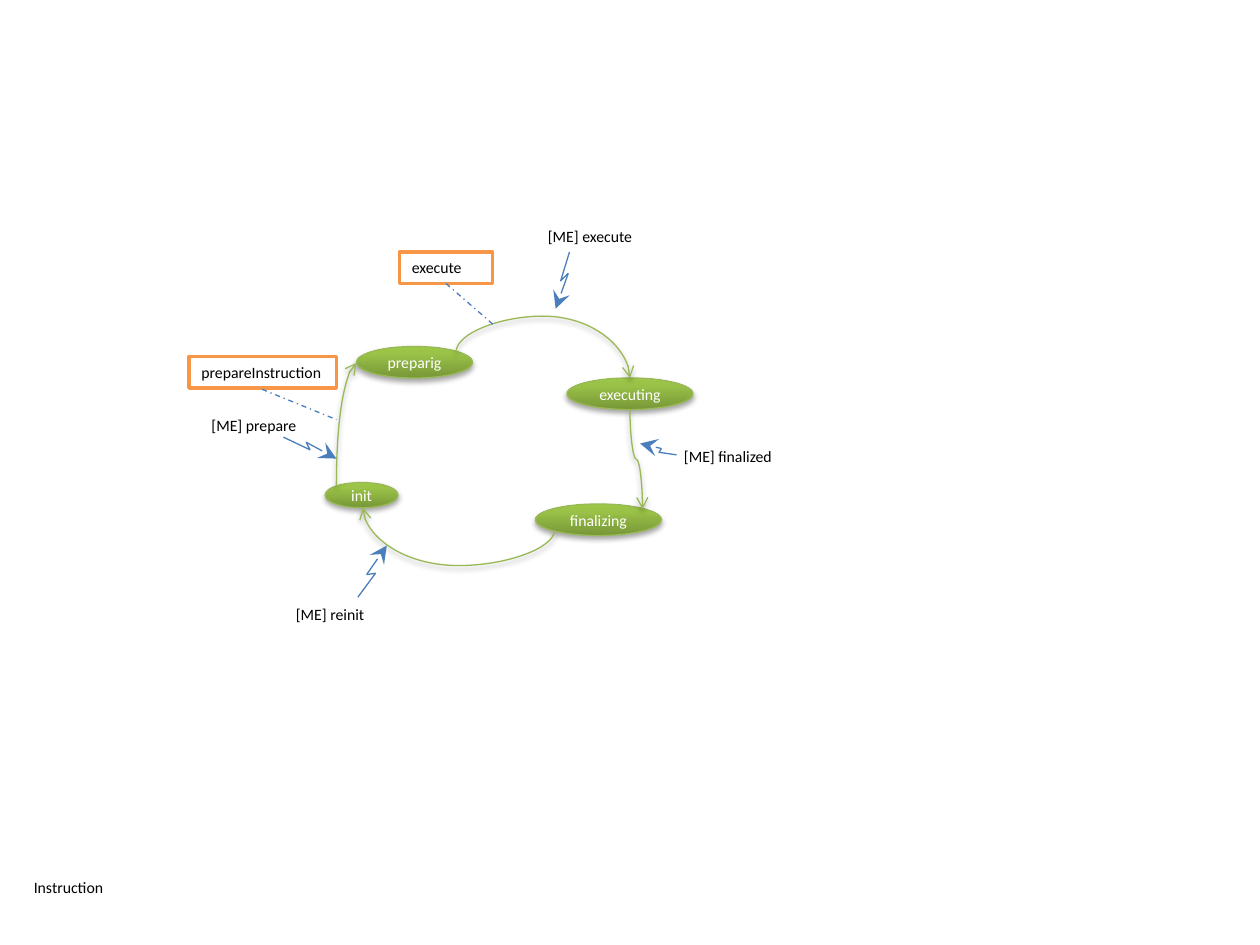
from lxml.etree import SubElement
from pptx import Presentation
from pptx.dml.color import RGBColor
from pptx.enum.dml import MSO_LINE
from pptx.enum.shapes import MSO_CONNECTOR, MSO_SHAPE
from pptx.enum.text import MSO_ANCHOR, MSO_AUTO_SIZE, PP_ALIGN
from pptx.oxml import parse_xml
from pptx.oxml.ns import nsdecls, qn
from pptx.util import Cm, Pt

GREEN, BLUE, ORANGE = "98B955", "4B7EBC", "F79646"
WHITE, BLACK = "FFFFFF", "000000"
GRADIENT = [(0, "779737"), (80, "9BC348"), (100, "9DC746")]


def inch(value):
    return Cm(value * 2.54)


def color(value):
    return RGBColor.from_string(value)


def set_line(item, value, width=0.75):
    item.line.color.rgb = color(value)
    item.line.width = Pt(width)


def set_text(box, text, value=BLACK, align=PP_ALIGN.LEFT):
    para = box.text_frame.paragraphs[0]
    para.text = text
    para.alignment = align
    para.font.size = Pt(9)
    para.font.name = "Calibri"
    para.font.color.rgb = color(value)


def set_effects(item, shadow):
    effects = SubElement(item._element.spPr, qn("a:effectLst"))
    if shadow:
        effects.append(parse_xml(
            f'<a:outerShdw {nsdecls("a")} blurRad="{Pt(3.1)}" dist="{Pt(1.8)}" dir="5400000" '
            'rotWithShape="0"><a:srgbClr val="000000"><a:alpha val="35000"/></a:srgbClr>'
            '</a:outerShdw>'))


def add_state(page, text, left, top, width, height=0.25):
    state = page.shapes.add_shape(MSO_SHAPE.OVAL, *map(inch, (left, top, width, height)))
    set_line(state, GREEN)
    stops = "".join(f'<a:gs pos="{place * 1000}"><a:srgbClr val="{value}"/></a:gs>'
                    for place, value in GRADIENT)
    state._element.spPr.find(qn("a:prstGeom")).addnext(parse_xml(
        f'<a:gradFill {nsdecls("a")} rotWithShape="1"><a:gsLst>{stops}</a:gsLst>'
        '<a:lin ang="16200000" scaled="0"/></a:gradFill>'))
    set_effects(state, True)
    state.text_frame.word_wrap = False
    state.text_frame.vertical_anchor = MSO_ANCHOR.MIDDLE
    set_text(state, text, WHITE, PP_ALIGN.CENTER)


def add_label(page, text, left, top, width, wrap=True):
    box = page.shapes.add_textbox(*map(inch, (left, top, width, 0.25)))
    box.text_frame.word_wrap = wrap
    box.text_frame.auto_size = MSO_AUTO_SIZE.SHAPE_TO_FIT_TEXT
    set_text(box, text)
    return box


def add_action(page, text, left, top, width):
    box = add_label(page, text, left, top, width)
    box.fill.solid()
    box.fill.fore_color.rgb = color(WHITE)
    set_line(box, ORANGE, 2)


def add_line(shapes, start, end, value, kind=MSO_CONNECTOR.STRAIGHT,
             head=None, size="med", dash=None):
    line = shapes.add_connector(kind, *map(inch, (*start, *end)))
    set_line(line, value)
    if dash:
        line.line.dash_style = dash
    if head:
        outline = line._element.spPr.find(qn("a:ln"))
        SubElement(outline, qn("a:tailEnd"), type=head, w=size, len=size)
    set_effects(line, kind == MSO_CONNECTOR.CURVE)
    return line


def add_transition(page, start, end, turn, bend=None):
    """A curve turned by 90 or 270 degrees; without a bend it is a single arc."""
    middle_x, middle_y = (start[0] + end[0]) / 2, (start[1] + end[1]) / 2
    sign = 1 if turn == 90 else -1
    ends = [(middle_x + sign * (y - middle_y), middle_y - sign * (x - middle_x))
            for x, y in (start, end)]
    curve = add_line(page.shapes, *ends, GREEN, MSO_CONNECTOR.CURVE, "arrow")
    properties = curve._element.spPr
    properties.find(qn("a:xfrm")).set("rot", str(turn * 60000))
    geometry = properties.find(qn("a:prstGeom"))
    if bend is None:
        geometry.set("prst", "curvedConnector2")
    else:
        guides = geometry.find(qn("a:avLst"))
        if guides is None:
            guides = SubElement(geometry, qn("a:avLst"))
        SubElement(guides, qn("a:gd"), name="adj1", fmla=f"val {round(bend * 100000)}")


def add_bolt(page, start, corner, notch, tip):
    group = page.shapes.add_group_shape()
    builder = group.shapes.build_freeform(*map(inch, start))
    builder.add_line_segments([tuple(map(inch, point)) for point in (corner, notch)], close=False)
    zigzag = builder.convert_to_shape()
    zigzag.fill.background()
    zigzag.shadow.inherit = False
    set_line(zigzag, BLUE)
    add_line(group.shapes, notch, tip, BLUE, head="stealth", size="lg")


def main():
    deck = Presentation()
    deck.slide_width, deck.slide_height = inch(10), inch(7.5)
    page = deck.slides.add_slide(deck.slide_layouts[6])

    # States of the instruction
    add_state(page, "init", 2.58, 3.83, 0.58, 0.2)
    add_state(page, "preparig", 2.83, 2.75, 0.92)
    add_state(page, "executing", 4.5, 3, 1)
    add_state(page, "finalizing", 4.25, 4, 1)

    # Transitions around the cycle
    add_transition(page, (2.67, 3.86), (2.83, 2.88), 90)
    add_transition(page, (3.62, 2.79), (5, 3), 270, -1.34)
    add_transition(page, (5, 3.25), (5.1, 4.04), 270, 0.5)
    add_transition(page, (4.4, 4.21), (2.88, 4.03), 90, -1.55)

    # Actions tied to transitions
    add_action(page, "execute", 3.17, 2, 0.74)
    add_action(page, "prepareInstruction", 1.5, 2.83, 1.17)
    for start, end in [((3.54, 2.25), (3.92, 2.58)), ((2.08, 3.09), (2.67, 3.33))]:
        add_line(page.shapes, start, end, BLUE, dash=MSO_LINE.DASH_DOT)

    # Events and title
    add_label(page, "[ME] execute", 4.25, 1.75, 1.48)
    add_label(page, "[ME] prepare", 1.58, 3.25, 1.48)
    add_label(page, "[ME] finalized", 5.33, 3.5, 0.92)
    add_label(page, "[ME] reinit", 2.25, 4.75, 1.41)
    add_label(page, "Instruction", 0.17, 6.92, 0.76, wrap=False)

    # Bolts from events to transitions
    add_bolt(page, (4.52, 2), (4.45, 2.23), (4.51, 2.17), (4.41, 2.45))
    add_bolt(page, (2.25, 3.47), (2.46, 3.57), (2.43, 3.51), (2.67, 3.64))
    add_bolt(page, (5.37, 3.61), (5.23, 3.59), (5.25, 3.56), (5.08, 3.52))
    add_bolt(page, (2.84, 4.74), (2.98, 4.55), (2.91, 4.56), (3.07, 4.33))

    deck.save("out.pptx")


main()
